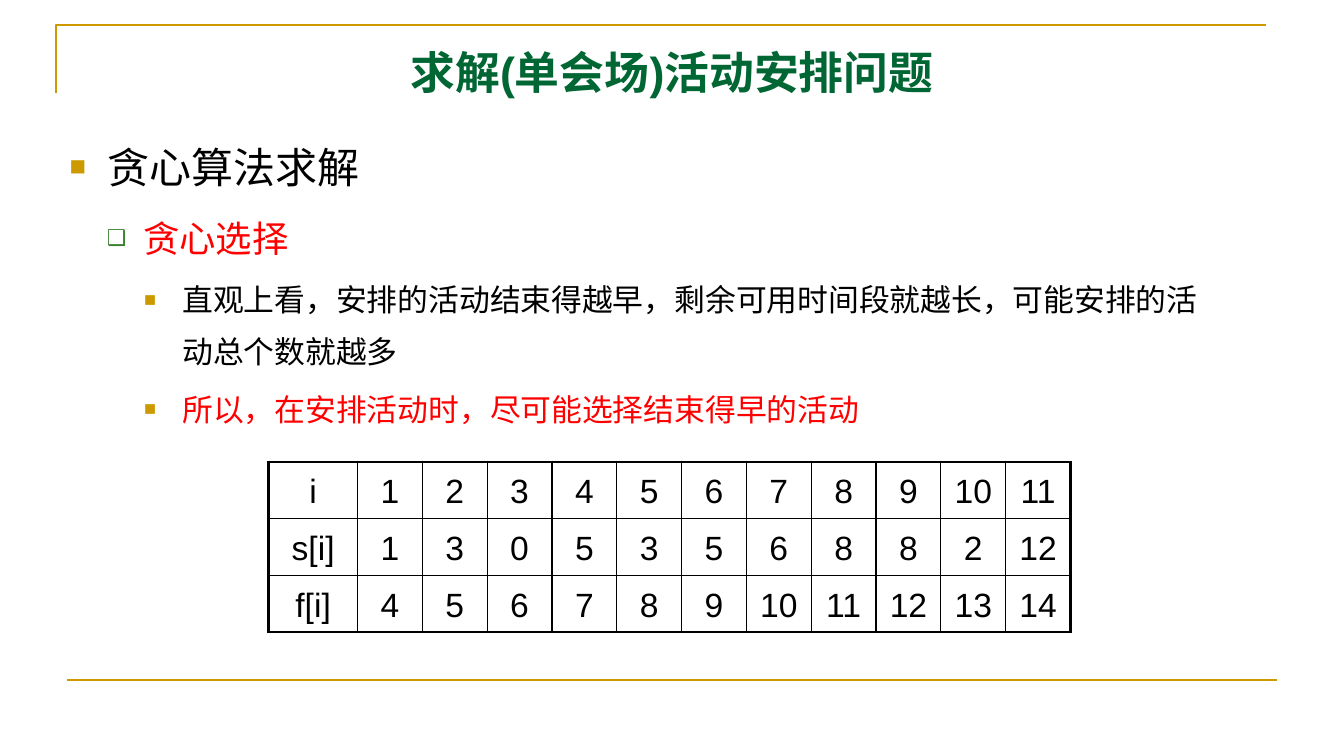
import pptx
import pptx.util
import pptx.dml.color
import pptx.enum.text
import pptx.oxml
import pptx.oxml.ns
import lxml.etree

RGB = pptx.dml.color.RGBColor.from_string
Pt = pptx.util.Pt
ALIGN = pptx.enum.text.PP_ALIGN
ANCHOR = pptx.enum.text.MSO_ANCHOR
qn = pptx.oxml.ns.qn

THEME = {
    "font": "Arial",
    "gold": "CC9900", "title": "006633", "black": "000000",
    "red": "FF0000", "green": "3B812F",
    "title_size": 32, "level_sizes": [30, 26, 22], "table_size": 24,
    "rule": 1.5, "thin": 1, "thick": 2.25,
}

prs = pptx.Presentation()
prs.slide_width = pptx.util.Inches(13.33)
prs.slide_height = pptx.util.Inches(7.5)
slide = prs.slides.add_slide(prs.slide_layouts[1])

# Grid of 40 columns by 30 rows
COL, ROW = prs.slide_width / 40, prs.slide_height / 30


def box(left, top, width, height):
    return int(left * COL), int(top * ROW), int(width * COL), int(height * ROW)


def style(p, size, color, bold=False):
    for r in p.runs:
        r.font.name = THEME["font"]
        r.font.size = Pt(size)
        r.font.bold = bold
        r.font.color.rgb = RGB(color)


# Corner frame at the top
left, top, right, bottom = 1.68 * COL, ROW, 37.68 * COL, 3.68 * ROW
fb = slide.shapes.build_freeform(int(left), int(bottom))
fb.add_line_segments([(int(left), int(top)), (int(right), int(top))], close=False)
frame = fb.convert_to_shape()
frame.shadow.inherit = False
frame.fill.background()

# Rule at the bottom
rule = slide.shapes.add_connector(
    pptx.enum.shapes.MSO_CONNECTOR.STRAIGHT,
    int(2 * COL), int(27 * ROW), int(38 * COL), int(27 * ROW))
lxml.etree.SubElement(rule._element.spPr, qn("a:effectLst"))
for sp in (frame, rule):
    sp.line.color.rgb = RGB(THEME["gold"])
    sp.line.width = Pt(THEME["rule"])

# Title
title = slide.shapes.title
title.left, title.top, title.width, title.height = box(2, 1.2, 36, 3.08)
tf = title.text_frame
tf.text = "求解(单会场)活动安排问题"
tf.auto_size = pptx.enum.text.MSO_AUTO_SIZE.NONE
tf.vertical_anchor = ANCHOR.MIDDLE
p = tf.paragraphs[0]
p.alignment = ALIGN.CENTER
p.line_spacing = 1.1
style(p, THEME["title_size"], THEME["title"], bold=True)

# Bulleted body: level, colour, text
items = [
    (0, "black", "贪心算法求解"),
    (1, "red", "贪心选择"),
    (2, "black", "直观上看，安排的活动结束得越早，剩余可用时间段就越长，可能安排的活动总个数就越多"),
    (2, "red", "所以，在安排活动时，尽可能选择结束得早的活动"),
]
# Per level: text indent and hanging indent in inches, bullet, colour, percent
bullets = [
    (0.38, 0.38, "■", "gold", 65),
    (0.73, 0.36, "❑", "green", 60),
    (1.12, 0.38, "■", "gold", 65),
]
body = slide.placeholders[1]
body.left, body.top, body.width, body.height = box(1.77, 4.6, 34.23, 22.2)
tf = body.text_frame
tf.auto_size = pptx.enum.text.MSO_AUTO_SIZE.NONE
tf.vertical_anchor = ANCHOR.TOP
tf.text = "\n".join(text for _, _, text in items)
for i, (p, (level, color, _)) in enumerate(zip(tf.paragraphs, items)):
    indent, hanging, char, bullet_color, percent = bullets[level]
    size = THEME["level_sizes"][level]
    p.level = level
    pPr = p._p.get_or_add_pPr()
    pPr.set("marL", str(pptx.util.Inches(indent)))
    pPr.set("indent", str(-pptx.util.Inches(hanging)))
    clr = lxml.etree.SubElement(pPr, qn("a:buClr"))
    lxml.etree.SubElement(clr, qn("a:srgbClr"), val=THEME[bullet_color])
    lxml.etree.SubElement(pPr, qn("a:buSzPct"), val=str(percent * 1000))
    lxml.etree.SubElement(pPr, qn("a:buFont"), typeface=THEME["font"])
    lxml.etree.SubElement(pPr, qn("a:buChar"), char=char)
    p.alignment = ALIGN.LEFT
    p.line_spacing = 1.4
    p.space_before = Pt(0.2 * size if i else 0)
    style(p, size, THEME[color])

# Table of start and finish times
rows = [
    ["i", *range(1, 12)],
    ["s[i]", 1, 3, 0, 5, 3, 5, 6, 8, 8, 2, 12],
    ["f[i]", *range(4, 15)],
]
n_rows, n_cols = len(rows), len(rows[0])
table = slide.shapes.add_table(n_rows, n_cols, *box(8, 18.33, 23.87, 6.75)).table
table.first_row = table.horz_banding = False
for c, column in enumerate(table.columns):
    column.width = int((1.93 if c else 2.64) * COL)
for r, values in enumerate(rows):
    table.rows[r].height = int(2.25 * ROW)
    for c, value in enumerate(values):
        cell = table.cell(r, c)
        cell.text = str(value)
        cell.vertical_anchor = ANCHOR.MIDDLE
        p = cell.text_frame.paragraphs[0]
        p.alignment = ALIGN.CENTER
        p.line_spacing = 1.1
        style(p, THEME["table_size"], THEME["black"])
        # Thick outer edges, thin inner ones
        edges = {"a:lnL": c == 0, "a:lnR": c == n_cols - 1,
                 "a:lnT": r == 0, "a:lnB": r == n_rows - 1}
        tcPr = cell._tc.get_or_add_tcPr()
        for tag, outer in edges.items():
            width = Pt(THEME["thick"] if outer else THEME["thin"])
            ln = lxml.etree.SubElement(tcPr, qn(tag), w=str(width))
            fill = lxml.etree.SubElement(ln, qn("a:solidFill"))
            lxml.etree.SubElement(fill, qn("a:srgbClr"), val=THEME["black"])
        cell.fill.background()

prs.save("out.pptx")
